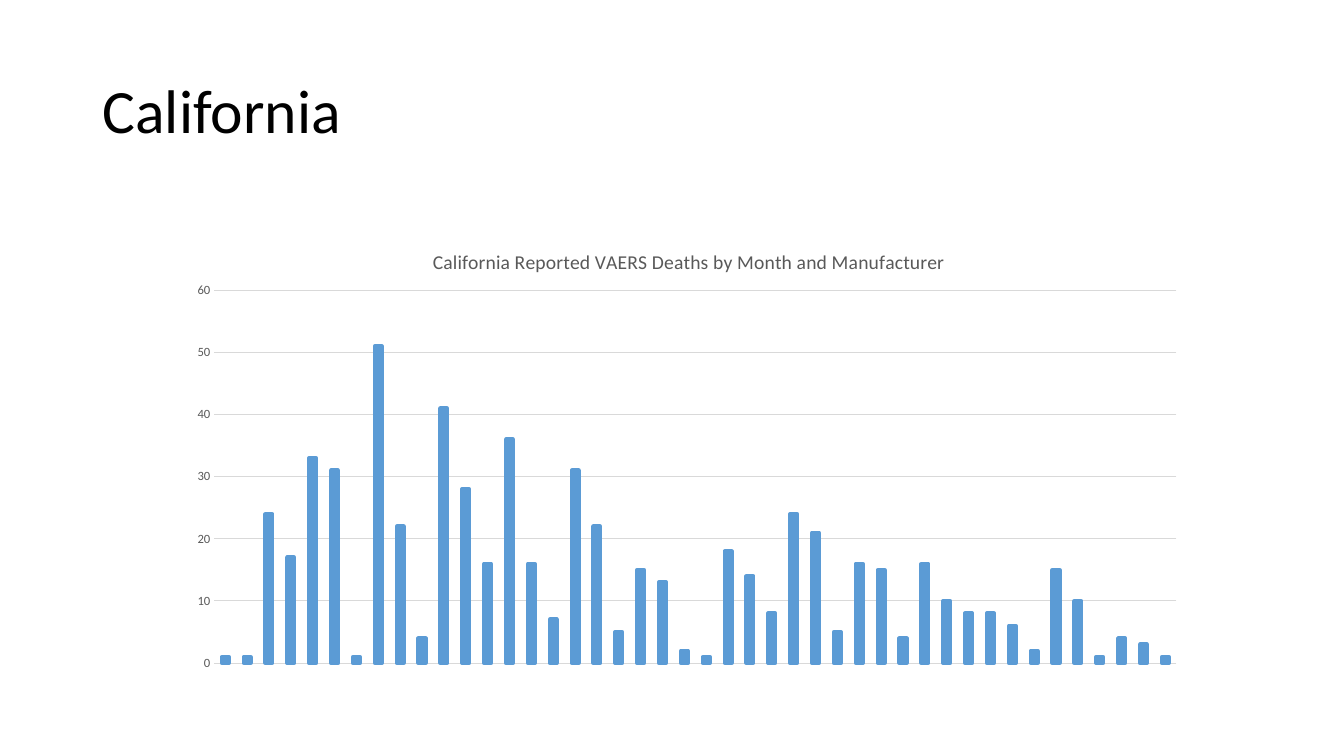
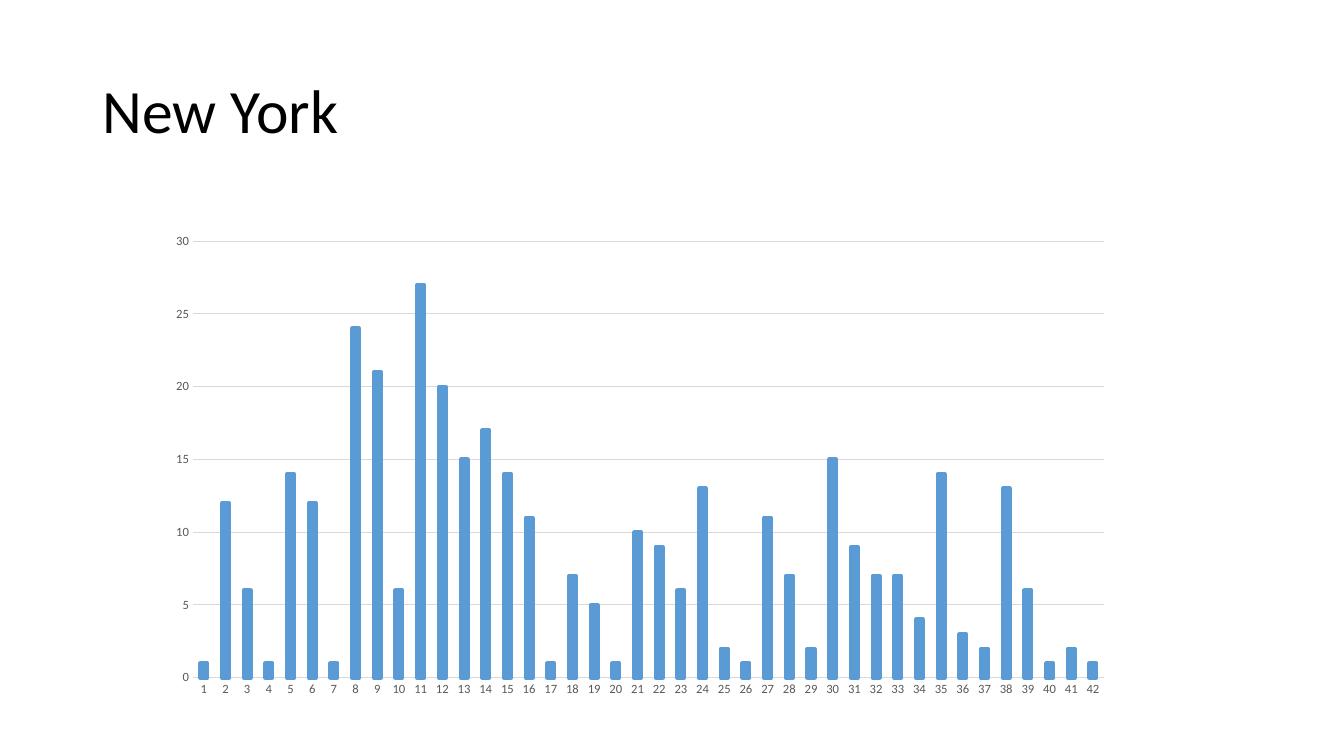
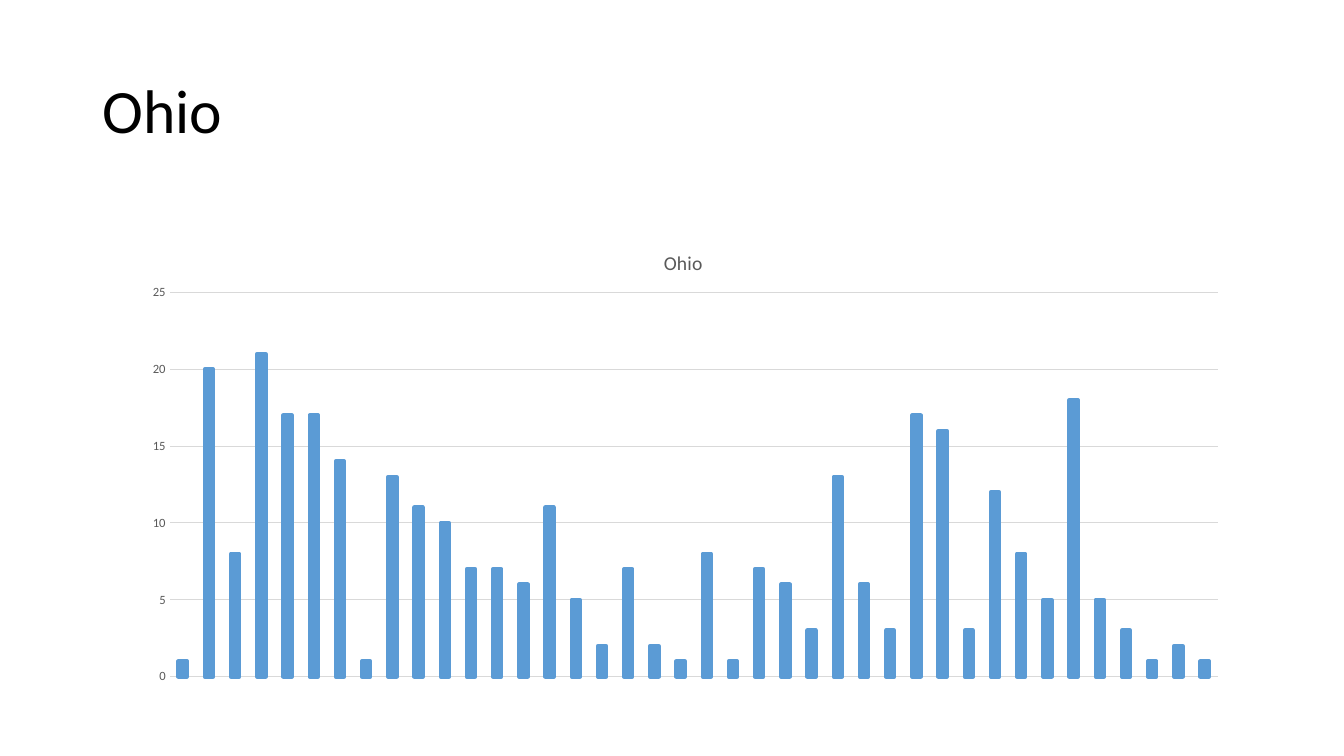
from dataclasses import dataclass

from lxml import etree
from pptx import Presentation
from pptx import util as u
from pptx.chart import data
from pptx.dml import color
from pptx.enum import chart as charts, text
from pptx.oxml import ns


@dataclass(frozen=True)
class Theme:
    font: str = "Calibri"
    ink: str = "000000"
    muted: str = "595959"
    grid: str = "D9D9D9"
    bar: str = "5B9BD5"
    heading_size: int = 44
    caption_size: int = 14
    chart_size: int = 10
    axis_size: int = 9
    hairline: float = 0.75
    bar_outline: int = 3


@dataclass(frozen=True)
class State:
    name: str
    left: float
    width: float
    height: float
    top_value: int
    step: int
    deaths: tuple
    caption: str = ""
    caption_left: float = 0


THEME = Theme()
SLIDE_WIDTH, SLIDE_HEIGHT = u.Inches(13.33), u.Inches(7.5)
CHART_TOP = 30

STATES = (
    State("California", 12.9, 76.15, 60.13, 60, 10,
          (1, 1, 24, 17, 33, 31, 1, 51, 22, 4, 41, 28, 16, 36, 16,
           7, 31, 22, 5, 15, 13, 2, 1, 18, 14, 8, 24, 21, 5, 16,
           15, 4, 16, 10, 8, 8, 6, 2, 15, 10, 1, 4, 3, 1),
          "California Reported VAERS Deaths by Month and Manufacturer", 0.25),
    State("New York", 11.48, 72.1, 63.47, 30, 5,
          (1, 12, 6, 1, 14, 12, 1, 24, 21, 6, 27, 20, 15, 17,
           14, 11, 1, 7, 5, 1, 10, 9, 6, 13, 2, 1, 11, 7,
           2, 15, 9, 7, 7, 4, 14, 3, 2, 13, 6, 1, 2, 1)),
    State("Ohio", 9.3, 82.97, 62, 25, 5,
          (1, 20, 8, 21, 17, 17, 14, 1, 13, 11, 10, 7, 7, 6,
           11, 5, 2, 7, 2, 1, 8, 1, 7, 6, 3, 13, 6, 3,
           17, 16, 3, 12, 8, 5, 18, 5, 3, 1, 2, 1),
          "Ohio", 0.48),
)


def share(left, top, width, height):
    return (int(SLIDE_WIDTH * left / 100), int(SLIDE_HEIGHT * top / 100),
            int(SLIDE_WIDTH * width / 100), int(SLIDE_HEIGHT * height / 100))


def style_font(font, size, tone):
    font.name = THEME.font
    font.size = u.Pt(size)
    font.bold = False
    font.color.rgb = color.RGBColor.from_string(tone)


def style_line(line, tone, width):
    line.color.rgb = color.RGBColor.from_string(tone)
    line.width = u.Pt(width)


def place_inside(parent, index, **settings):
    for old in parent.findall(ns.qn("c:layout")):
        parent.remove(old)
    layout = etree.Element(ns.qn("c:layout"))
    manual = etree.SubElement(layout, ns.qn("c:manualLayout"))
    for tag, value in settings.items():
        etree.SubElement(manual, ns.qn(f"c:{tag}")).set("val", str(value))
    parent.insert(index, layout)


def add_heading(page, words):
    box = page.shapes.add_textbox(*share(6.9, 5.33, 86.27, 19.33))
    frame = box.text_frame
    frame.word_wrap = True
    frame.vertical_anchor = text.MSO_ANCHOR.MIDDLE
    para = frame.paragraphs[0]
    para.line_spacing = 0.9
    span = para.add_run()
    span.text = words
    style_font(span.font, THEME.heading_size, THEME.ink)


def add_caption(chart, state):
    title = chart.chart_title
    span = title.text_frame.paragraphs[0].add_run()
    span.text = state.caption
    style_font(span.font, THEME.caption_size, THEME.muted)
    title.include_in_layout = False
    place_inside(title.element if hasattr(title, "element") else title._element, 1,
                 xMode="edge", yMode="edge", x=state.caption_left, y=0.04)


def style_axes(chart, state):
    for axis in (chart.category_axis, chart.value_axis):
        axis.major_tick_mark = charts.XL_TICK_MARK.NONE
        axis.minor_tick_mark = charts.XL_TICK_MARK.NONE
        style_font(axis.tick_labels.font, THEME.axis_size, THEME.muted)
    chart.category_axis.visible = not state.caption
    style_line(chart.category_axis.format.line, THEME.grid, THEME.hairline)
    values = chart.value_axis
    values.minimum_scale = 0
    values.maximum_scale = state.top_value
    values.major_unit = state.step
    values.format.line.fill.background()
    values.has_major_gridlines = True
    style_line(values.major_gridlines.format.line, THEME.grid, THEME.hairline)


def style_bars(plot):
    plot.gap_width = 219
    plot.overlap = -27
    plot.vary_by_categories = False
    bars = plot.series[0]
    bars.invert_if_negative = False
    bars.format.fill.solid()
    bars.format.fill.fore_color.rgb = color.RGBColor.from_string(THEME.bar)
    style_line(bars.format.line, THEME.bar, THEME.bar_outline)


def add_deaths_chart(page, state):
    table = data.CategoryChartData()
    table.categories = [str(n) for n in range(1, len(state.deaths) + 1)]
    table.add_series("Series 1", state.deaths)
    frame = page.shapes.add_chart(
        charts.XL_CHART_TYPE.COLUMN_CLUSTERED,
        *share(state.left, CHART_TOP, state.width, state.height), table)
    chart = frame.chart
    style_font(chart.font, THEME.chart_size, THEME.ink)
    chart.has_legend = False
    chart.has_title = bool(state.caption)
    if state.caption:
        add_caption(chart, state)
    style_axes(chart, state)
    style_bars(chart.plots[0])
    top, height = (0.14, 0.82) if state.caption else (0.03, 0.91)
    area = chart.element.find(".//" + ns.qn("c:plotArea"))
    place_inside(area, 0, layoutTarget="inner", xMode="edge", yMode="edge",
                 x=0.04, y=top, w=0.94, h=height)


def main():
    deck = Presentation()
    deck.slide_width, deck.slide_height = SLIDE_WIDTH, SLIDE_HEIGHT
    for state in STATES:
        page = deck.slides.add_slide(deck.slide_layouts[6])
        add_heading(page, state.name)
        add_deaths_chart(page, state)
    deck.save("out.pptx")


if __name__ == "__main__":
    main()
